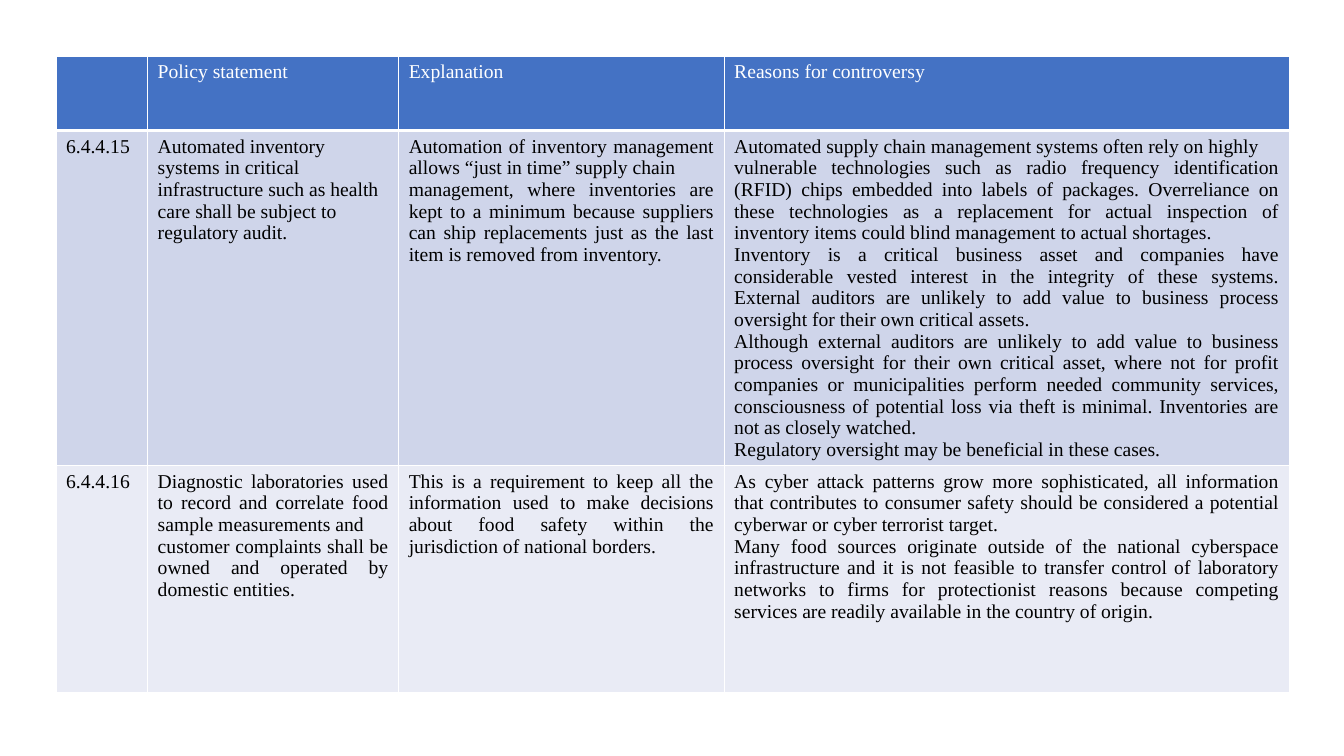
from lxml.etree import SubElement
from pptx import Presentation
from pptx.dml.color import RGBColor
from pptx.enum.text import PP_ALIGN
from pptx.oxml.ns import qn
from pptx.util import Pt

WHITE = RGBColor(0xFF, 0xFF, 0xFF)
BLACK = RGBColor(0x00, 0x00, 0x00)
HEADER_BLUE = RGBColor(0x44, 0x72, 0xC4)
BAND_DARK = RGBColor(0xCF, 0xD5, 0xEA)
BAND_LIGHT = RGBColor(0xE9, 0xEB, 0xF5)
ROW_FILLS = [HEADER_BLUE, BAND_DARK, BAND_LIGHT]

COLUMN_WIDTHS = [65.5, 179.3, 232.5, 403.9]
ROW_HEIGHTS = [53.3, 221, 162]

# Each cell is a list of paragraphs
POLICY_ROWS = [
    [[], ["Policy statement"], ["Explanation"], ["Reasons for controversy"]],
    [
        ["6.4.4.15"],
        ["Automated inventory systems in critical infrastructure such as health "
         "care shall be subject to regulatory audit."],
        ["Automation of inventory management allows “just in time” supply chain",
         "management, where inventories are kept to a minimum because suppliers can "
         "ship replacements just as the last item is removed from inventory."],
        ["Automated supply chain management systems often rely on highly",
         "vulnerable technologies such as radio frequency identification (RFID) chips "
         "embedded into labels of packages. Overreliance on these technologies as a "
         "replacement for actual inspection of inventory items could blind management "
         "to actual shortages.",
         "Inventory is a critical business asset and companies have considerable vested "
         "interest in the integrity of these systems. External auditors are unlikely to "
         "add value to business process oversight for their own critical assets.",
         "Although external auditors are unlikely to add value to business process "
         "oversight for their own critical asset, where not for profit companies or "
         "municipalities perform needed community services, consciousness of potential "
         "loss via theft is minimal. Inventories are not as closely watched.",
         "Regulatory oversight may be beneficial in these cases."],
    ],
    [
        ["6.4.4.16"],
        ["Diagnostic laboratories used to record and correlate food sample "
         "measurements and",
         "customer complaints shall be owned and operated by domestic entities."],
        ["This is a requirement to keep all the information used to make decisions "
         "about food safety within the jurisdiction of national borders."],
        ["As cyber attack patterns grow more sophisticated, all information that "
         "contributes to consumer safety should be considered a potential cyberwar or "
         "cyber terrorist target.",
         "Many food sources originate outside of the national cyberspace infrastructure "
         "and it is not feasible to transfer control of laboratory networks to firms for "
         "protectionist reasons because competing services are readily available in the "
         "country of origin."],
    ],
]


def add_border(cell, side, width):
    line = SubElement(cell._tc.get_or_add_tcPr(), qn(f"a:ln{side}"), w=str(Pt(width)))
    fill = SubElement(line, qn("a:solidFill"))
    SubElement(fill, qn("a:srgbClr"), val=str(WHITE))


deck = Presentation()
deck.slide_width, deck.slide_height = Pt(960), Pt(540)
page = deck.slides.add_slide(deck.slide_layouts[6])

# Table grid
frame = page.shapes.add_table(
    len(ROW_HEIGHTS), len(COLUMN_WIDTHS), Pt(40), Pt(40),
    Pt(sum(COLUMN_WIDTHS)), Pt(sum(ROW_HEIGHTS)))
table = frame.table
for column, width in zip(table.columns, COLUMN_WIDTHS):
    column.width = Pt(width)
for row, height in zip(table.rows, ROW_HEIGHTS):
    row.height = Pt(height)

# Cells: borders, fill and text
for row_index, policy_row in enumerate(POLICY_ROWS):
    is_header = row_index == 0
    for column_index, paragraphs in enumerate(policy_row):
        cell = table.cell(row_index, column_index)
        for side in "LRTB":
            below_header = (side == "B" and is_header) or (side == "T" and row_index == 1)
            add_border(cell, side, 3 if below_header else 1)
        cell.fill.solid()
        cell.fill.fore_color.rgb = ROW_FILLS[row_index]

        cell.text_frame.text = "\n".join(paragraphs)
        left_aligned = is_header or (row_index, column_index) == (1, 1)
        for para in cell.text_frame.paragraphs:
            para.alignment = PP_ALIGN.LEFT if left_aligned else PP_ALIGN.JUSTIFY
            for span in para.runs:
                span.font.name = "Times New Roman"
                span.font.size = Pt(14)
                span.font.bold = False
                span.font.color.rgb = WHITE if is_header else BLACK

deck.save("out.pptx")
